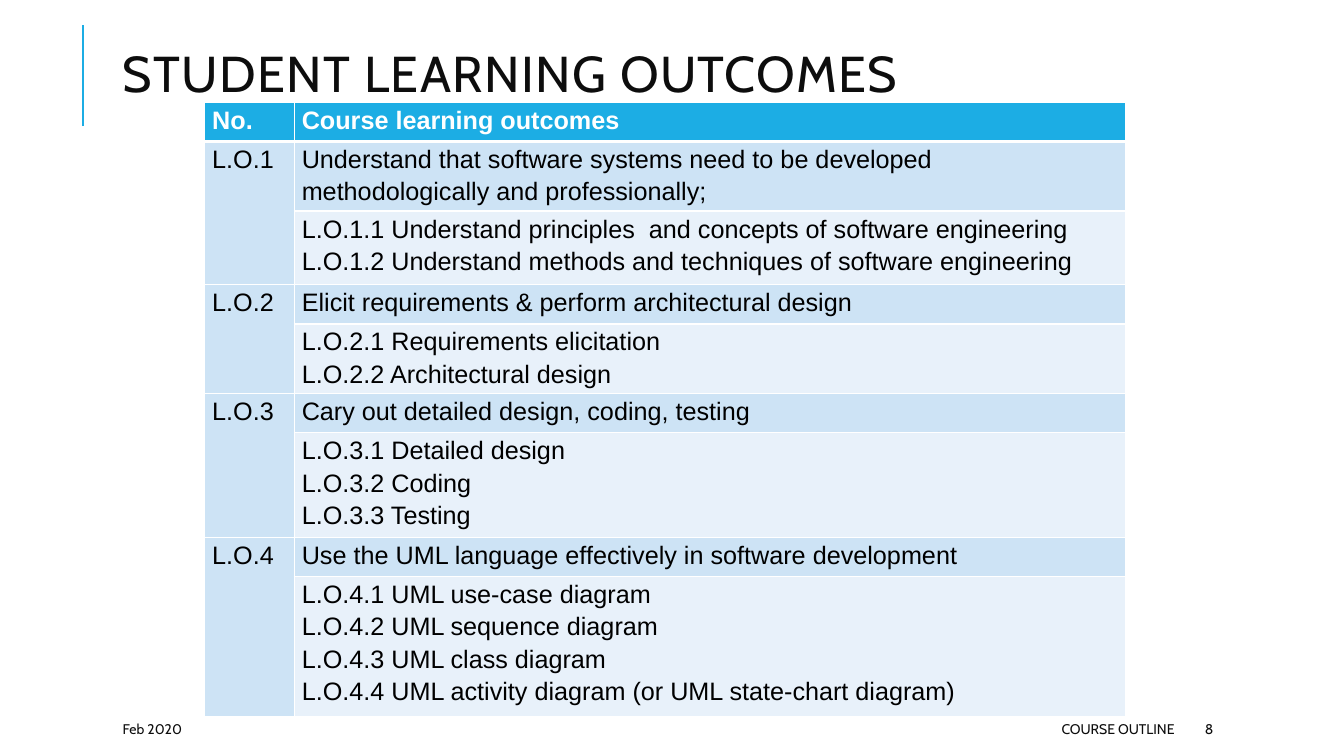
from lxml import etree
from pptx import Presentation
from pptx.dml.color import RGBColor
from pptx.enum.shapes import MSO_CONNECTOR
from pptx.enum.text import MSO_ANCHOR, PP_ALIGN
from pptx.oxml.ns import qn
from pptx.util import Pt

STRAIGHT = MSO_CONNECTOR.STRAIGHT
MIDDLE = MSO_ANCHOR.MIDDLE
LEFT, RIGHT = PP_ALIGN.LEFT, PP_ALIGN.RIGHT

COLORS = {
    "accent": "1CADE4",
    "outcome": "CDE3F5",
    "detail": "E8F1FA",
    "white": "FFFFFF",
    "ink": "0D0D0D",
    "black": "000000",
}
HEADINGS = ("No.", "Course learning outcomes")
COLUMN_WIDTHS = (64, 594)
HEADER_HEIGHT = 28.1

# Number, outcome, its row height, details, their row height
OUTCOMES = [
    ("L.O.1", "Understand that software systems need to be developed "
     "methodologically and professionally;", 49,
     ["L.O.1.1 Understand principles  and concepts of software engineering",
      "L.O.1.2 Understand methods and techniques of software engineering"], 52.6),
    ("L.O.2", "Elicit requirements & perform architectural design", 28.1,
     ["L.O.2.1 Requirements elicitation",
      "L.O.2.2 Architectural design"], 49),
    ("L.O.3", "Cary out detailed design, coding, testing", 28.1,
     ["L.O.3.1 Detailed design",
      "L.O.3.2 Coding",
      "L.O.3.3 Testing"], 72),
    ("L.O.4", "Use the UML language effectively in software development", 28.1,
     ["L.O.4.1 UML use-case diagram",
      "L.O.4.2 UML sequence diagram",
      "L.O.4.3 UML class diagram",
      "L.O.4.4 UML activity diagram (or UML state-chart diagram)"], 100.1),
]


def color(name):
    return RGBColor.from_string(COLORS[name])


def add_span(para, text, size, font, ink, bold=False):
    span = para.add_run()
    span.text = text
    span.font.size = Pt(size)
    span.font.name = font
    span.font.bold = bold
    span.font.color.rgb = color(ink)
    return span


def add_label(page, box, text, size, align=LEFT):
    frame = page.shapes.add_textbox(*map(Pt, box)).text_frame
    frame.word_wrap = True
    frame.vertical_anchor = MIDDLE
    para = frame.paragraphs[0]
    para.alignment = align
    return para, add_span(para, text, size, "Cabin", "ink")


def add_title(page, box):
    left, top, width, height = box
    # Accent rule beside the title
    rule = page.shapes.add_connector(
        STRAIGHT, Pt(left - 21), Pt(top + 82), Pt(left - 21), Pt(top + 10))
    rule.line.color.rgb = color("accent")
    rule.line.width = Pt(1.5)
    etree.SubElement(rule.element.spPr, qn("a:effectLst"))
    # Title text, letterspaced by one point
    para, span = add_label(page, box, "STUDENT LEARNING OUTCOMES", 36)
    para.line_spacing = 0.8
    span.font._element.set("spc", "100")


def set_borders(cell, bottom_width):
    properties = cell._tc.get_or_add_tcPr()
    for side, width in (("L", 1), ("R", 1), ("T", 1), ("B", bottom_width)):
        line = etree.SubElement(properties, qn(f"a:ln{side}"), w=str(Pt(width)))
        fill = etree.SubElement(line, qn("a:solidFill"))
        etree.SubElement(fill, qn("a:srgbClr"), val=COLORS["white"])


def fill_cell(cell, lines, fill, ink="black", bold=False, bottom_width=1):
    set_borders(cell, bottom_width)
    cell.fill.solid()
    cell.fill.fore_color.rgb = color(fill)
    cell.margin_left = cell.margin_right = Pt(5.4)
    cell.margin_top = cell.margin_bottom = 0
    frame = cell.text_frame
    for index, text in enumerate(lines):
        para = frame.add_paragraph() if index else frame.paragraphs[0]
        para.line_spacing = 1.15
        add_span(para, text, 18, "Arial", ink, bold)


def add_outcomes(page, box):
    table = page.shapes.add_table(
        1 + 2 * len(OUTCOMES), len(HEADINGS), *map(Pt, box)).table
    heights = [HEADER_HEIGHT]
    for _, _, outcome_height, _, detail_height in OUTCOMES:
        heights += [outcome_height, detail_height]
    for row, height in zip(table.rows, heights):
        row.height = Pt(height)
    # Header row
    for index, (heading, width) in enumerate(zip(HEADINGS, COLUMN_WIDTHS)):
        table.columns[index].width = Pt(width)
        fill_cell(table.cell(0, index), [heading], "accent", "white", True, 3)
    # Two rows per outcome, with the number spanning both
    for index, (number, outcome, _, details, _) in enumerate(OUTCOMES):
        first = 1 + 2 * index
        fill_cell(table.cell(first, 0), [number], "outcome",)
        fill_cell(table.cell(first + 1, 0), [], "outcome")
        fill_cell(table.cell(first, 1), [outcome], "outcome")
        fill_cell(table.cell(first + 1, 1), details, "detail")
        table.cell(first, 0).merge(table.cell(first + 1, 0))


def add_footer(page, box):
    left, top, width, height = box
    add_label(page, (left, top, 170, height), "Feb 2020", 10)
    add_label(page, (left + 301, top, 464.4, height), "COURSE OUTLINE", 10, RIGHT)
    add_label(page, (left + width - 76, top, 76, height), "8", 10)


def main():
    deck = Presentation()
    deck.slide_width, deck.slide_height = Pt(960), Pt(540)
    page = deck.slides.add_slide(deck.slide_layouts[6])
    add_title(page, (80.6, 8, 850, 96))
    add_outcomes(page, (146.2, 72.9, sum(COLUMN_WIDTHS), 436))
    add_footer(page, (80.6, 510, 849, 21.6))
    deck.save("out.pptx")


if __name__ == "__main__":
    main()
